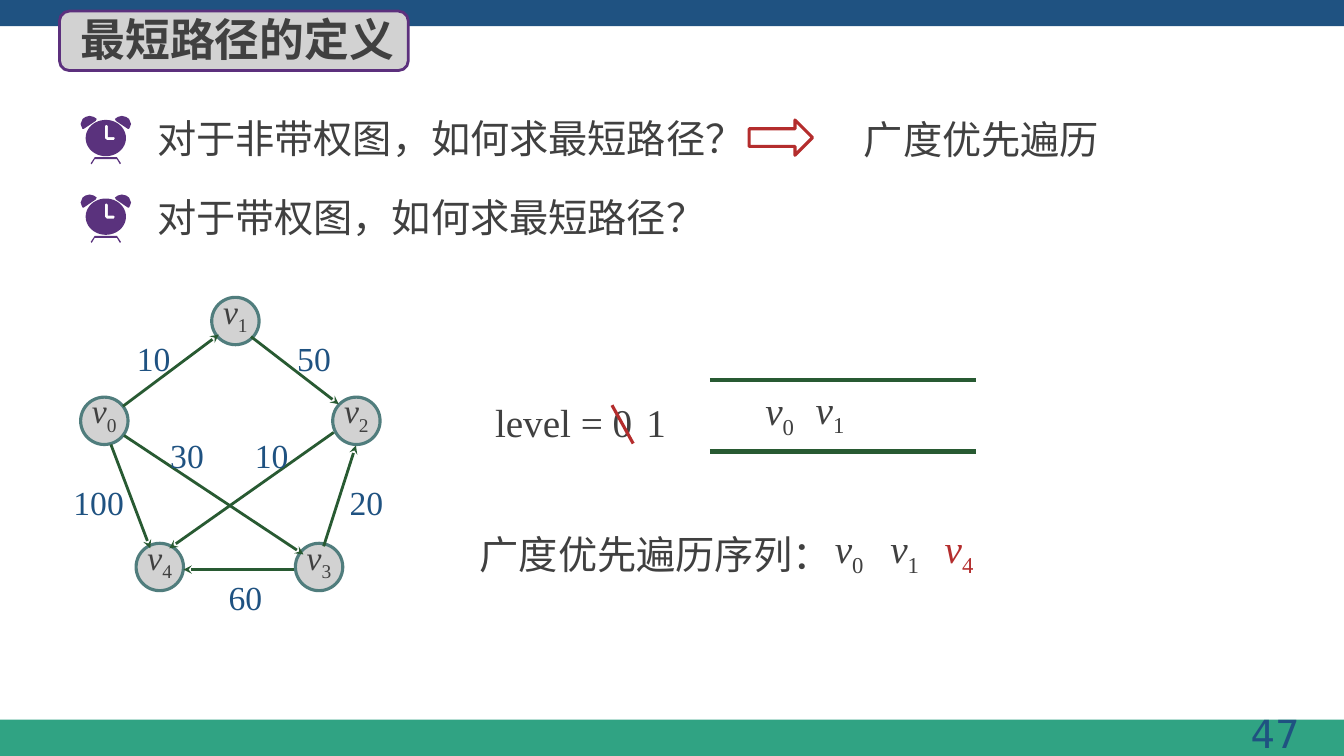
"""Build the slide that defines shortest paths on a grid of one-inch cells."""
from math import cos, pi, sin

from lxml.etree import SubElement
from pptx import Presentation
from pptx.dml.color import RGBColor
from pptx.enum.shapes import MSO_CONNECTOR, MSO_SHAPE
from pptx.enum.text import MSO_ANCHOR, MSO_AUTO_SIZE, PP_ALIGN
from pptx.oxml.ns import qn
from pptx.util import Inches, Pt

COLUMNS, ROWS = 13.33, 7.5
CELL = Inches(1)
SERIF, SANS, CHINESE = "Times New Roman", "DejaVu Sans", "Noto Sans CJK SC"
COLORS = {
    "band": "1F5281", "footer": "30A383", "grey": "D2D2D2", "frame": "5C307D",
    "ink": "404040", "rim": "507D7D", "edge": "285A32", "accent": "B42D2D",
    "clock": "5A327D",
}
NODE_SIZE = 0.47
NODES = {"0": (0.8, 3.94), "1": (2.1, 2.95), "2": (3.3, 3.94),
         "3": (2.93, 5.39), "4": (1.35, 5.39)}
EDGES = [
    (1.1, 4.41, 1.49, 5.44), (1.23, 4.32, 3.01, 5.5), (2.92, 5.65, 1.82, 5.65),
    (3.31, 4.29, 1.68, 5.44), (2.49, 3.34, 3.36, 4.01),
    (3.21, 5.42, 3.53, 4.42), (1.22, 4.03, 2.17, 3.32),
]
WEIGHTS = [
    ("10", 1.26, 3.22), ("50", 2.85, 3.22), ("30", 1.59, 4.18), ("10", 2.43, 4.18),
    ("100", 0.63, 4.65), ("20", 3.37, 4.65), ("60", 2.17, 5.59),
]
CLOCK_EAR = [(-0.16, 0), (-0.2, 0.01), (-0.23, 0.03), (-0.25, 0.08), (-0.24, 0.11),
             (-0.23, 0.13), (-0.22, 0.13), (-0.1, 0.05), (-0.09, 0.03), (-0.12, 0.01)]
CLOCK_LEGS = [(-0.15, 0.47), (-0.11, 0.41), (0.11, 0.41), (0.15, 0.47),
              (0.14, 0.48), (0.11, 0.43), (-0.11, 0.43), (-0.14, 0.48)]
CLOCK_HANDS = [(-0.01, 0.1), (0, 0.09), (0.01, 0.09), (0.02, 0.1), (0.02, 0.21),
               (0.08, 0.21), (0.09, 0.22), (0.08, 0.24), (0.01, 0.24), (-0.01, 0.22)]
CLOCK_FACE = [(0.2 * cos(step * pi / 24), 0.22 + 0.18 * sin(step * pi / 24))
              for step in range(48)]


def cells(*counts):
    return [round(count * CELL) for count in counts]


def color(name):
    return RGBColor.from_string(COLORS[name])


def paint(shape, fill=None, line=None, width=1):
    shape.shadow.inherit = False
    if fill:
        shape.fill.solid()
        shape.fill.fore_color.rgb = color(fill)
    else:
        shape.fill.background()
    if line:
        shape.line.color.rgb = color(line)
        shape.line.width = Pt(width)
    else:
        shape.line.fill.background()


def add_preset(slide, kind, place, **look):
    shape = slide.shapes.add_shape(kind, *cells(*place))
    paint(shape, **look)
    return shape


def add_line(slide, ends, ink, width, arrow=False):
    connector = slide.shapes.add_connector(MSO_CONNECTOR.STRAIGHT, *cells(*ends))
    connector.line.color.rgb = color(ink)
    connector.line.width = Pt(width)
    if arrow:
        SubElement(connector.line._get_or_add_ln(), qn("a:tailEnd"), type="stealth")
    SubElement(connector._element.spPr, qn("a:effectLst"))


def write(frame, text, subscript="", size=28, ink="ink", font=SERIF, bold=False,
          align=PP_ALIGN.LEFT, leading=None, margins=(0.1, 0.05)):
    side, edge = cells(*margins)
    frame.margin_left = frame.margin_right = side
    frame.margin_top = frame.margin_bottom = edge
    frame.word_wrap = True
    paragraph = frame.paragraphs[0]
    paragraph.alignment = align
    if leading:
        paragraph.line_spacing = Pt(leading)
    for part, lowered in ((text, False), (subscript, True)):
        if part:
            run = paragraph.add_run()
            run.text = part
            run.font.size = Pt(size)
            run.font.bold = bold
            run.font.italic = bool(subscript) and not lowered
            run.font.color.rgb = color(ink)
            run.font.name = font
            properties = run._r.get_or_add_rPr()
            SubElement(properties, qn("a:ea"), typeface=CHINESE)
            if lowered:
                properties.set("baseline", "-25000")


def add_text(slide, place, text, **style):
    box = slide.shapes.add_textbox(*cells(*place))
    write(box.text_frame, text, **style)
    box.text_frame.auto_size = MSO_AUTO_SIZE.SHAPE_TO_FIT_TEXT


def add_outline(slide, center, top, *contours):
    placed = [[cells(center + x, top + y) for x, y in points] for points in contours]
    builder = slide.shapes.build_freeform(*placed[0][0], scale=1.0)
    builder.add_line_segments(placed[0][1:], close=True)
    for points in placed[1:]:
        builder.move_to(*points[0])
        builder.add_line_segments(points[1:], close=True)
    paint(builder.convert_to_shape(), fill="clock")


def add_question(slide, top, text, width):
    add_text(slide, (1.46, top, width, 0.59), text, leading=35, align=PP_ALIGN.JUSTIFY)
    clock = (slide, 1.05, top + 0.08)
    add_outline(*clock, CLOCK_LEGS)
    add_outline(*clock, CLOCK_EAR)
    add_outline(*clock, [(-x, y) for x, y in CLOCK_EAR])
    add_outline(*clock, CLOCK_FACE, CLOCK_HANDS)


def add_vertex(slide, left, top, index, ink="ink"):
    add_text(slide, (left, top, 0.62, 0.5), "v", subscript=index, ink=ink,
             margins=(0.02, 0.01))


def add_graph(slide):
    for index, (left, top) in NODES.items():
        node = add_preset(slide, MSO_SHAPE.OVAL, (left, top, NODE_SIZE, NODE_SIZE),
                          fill="grey", line="rim", width=2.25)
        node.text_frame.vertical_anchor = MSO_ANCHOR.MIDDLE
        write(node.text_frame, "v", subscript=index, size=24, leading=22,
              align=PP_ALIGN.CENTER, margins=(0, 0))
    for ends in EDGES:
        add_line(slide, ends, "edge", 2, arrow=True)
    for weight, left, top in WEIGHTS:
        width = 0.25 + 0.16 * len(weight)
        add_text(slide, (left, top, width, 0.59), weight, size=24, ink="band", leading=35)


def add_queue(slide):
    for row in (3.77, 4.48):
        add_line(slide, (7.04, row, 9.68, row), "edge", 3)
    add_vertex(slide, 7.57, 3.82, "0")
    add_vertex(slide, 8.07, 3.81, "1")
    add_text(slide, (4.89, 3.94, 1.47, 0.5), "level = 0", margins=(0.02, 0.01))
    add_text(slide, (6.39, 3.94, 0.24, 0.5), "1", margins=(0.02, 0.01))
    add_line(slide, (6.07, 4.02, 6.28, 4.4), "accent", 2.25)


def add_sequence(slide):
    add_text(slide, (4.66, 5.21, 3.72, 0.57), "广度优先遍历序列：")
    for left, index, ink in ((8.26, "0", "ink"), (8.81, "1", "ink"), (9.35, "4", "accent")):
        add_vertex(slide, left, 5.19, index, ink)


def main():
    presentation = Presentation()
    presentation.slide_width, presentation.slide_height = cells(COLUMNS, ROWS)
    slide = presentation.slides.add_slide(presentation.slide_layouts[6])
    add_preset(slide, MSO_SHAPE.RECTANGLE, (0, ROWS - 0.36, COLUMNS, 0.36), fill="footer")
    add_preset(slide, MSO_SHAPE.RECTANGLE, (0, 0, COLUMNS, 0.26), fill="band")
    add_text(slide, (10.05, 6.99, 2.94, 0.57), "47", size=27.6, ink="band", font=SANS,
             align=PP_ALIGN.RIGHT)
    add_preset(slide, MSO_SHAPE.ROUNDED_RECTANGLE, (0.59, 0.11, 3.46, 0.59),
               fill="grey", line="frame", width=2)
    add_text(slide, (0.7, 0.07, 3.48, 0.64), "最短路径的定义", size=32, font=CHINESE,
             bold=True)
    add_question(slide, 1.07, "对于非带权图，如何求最短路径？", 6.11)
    add_preset(slide, MSO_SHAPE.RIGHT_ARROW, (7.43, 1.19, 0.63, 0.35),
               line="accent", width=2.25)
    add_text(slide, (8.47, 1.08, 2.73, 0.59), "广度优先遍历", leading=35,
             align=PP_ALIGN.JUSTIFY)
    add_question(slide, 1.85, "对于带权图，如何求最短路径？", 5.83)
    add_graph(slide)
    add_queue(slide)
    add_sequence(slide)
    presentation.save("out.pptx")


if __name__ == "__main__":
    main()
